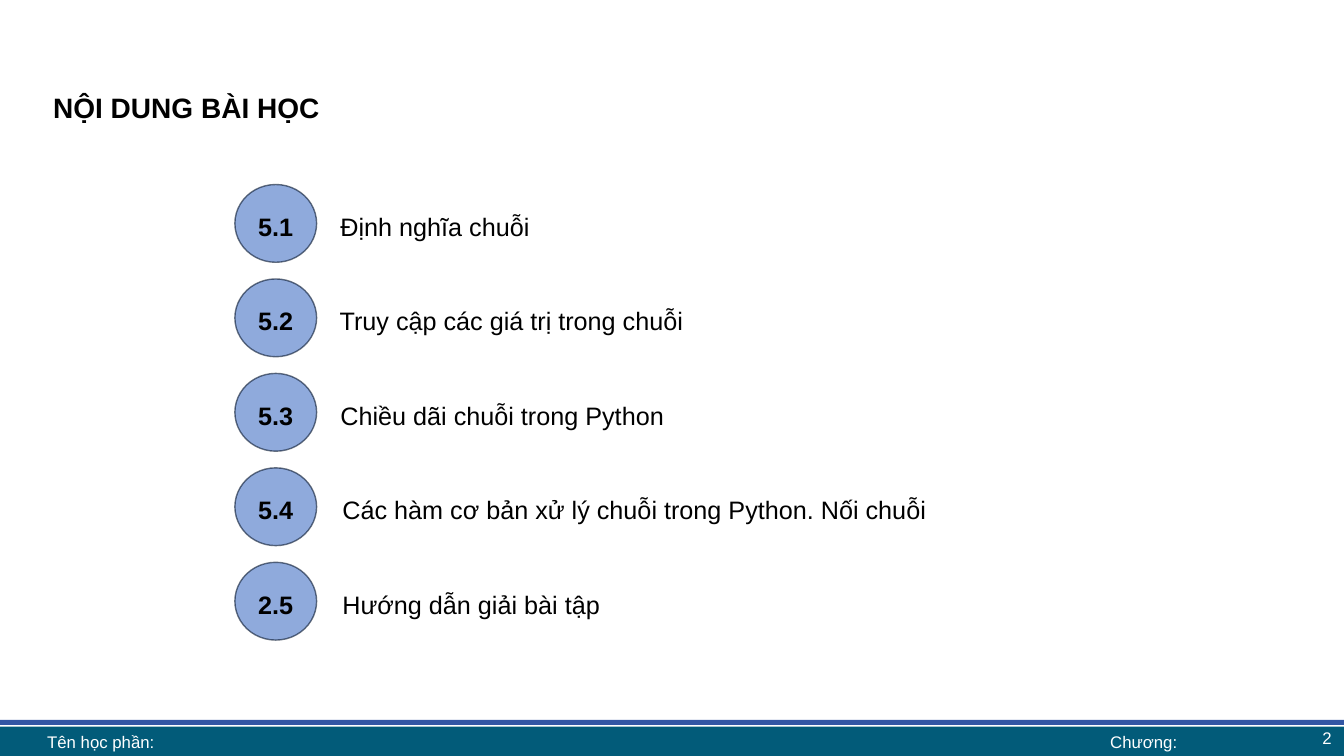
"""Build the lesson contents slide with numbered topics and a footer."""
from lxml import etree
from pptx import Presentation
from pptx.dml.color import RGBColor
from pptx.enum.shapes import MSO_SHAPE
from pptx.enum.text import MSO_ANCHOR, PP_ALIGN
from pptx.oxml.ns import qn
from pptx.util import Cm, Pt

RECTANGLE, OVAL = MSO_SHAPE.RECTANGLE, MSO_SHAPE.OVAL
TOP, MIDDLE = MSO_ANCHOR.TOP, MSO_ANCHOR.MIDDLE
LEFT, CENTER, RIGHT = PP_ALIGN.LEFT, PP_ALIGN.CENTER, PP_ALIGN.RIGHT
JUSTIFY = PP_ALIGN.JUSTIFY

COLOURS = {
    "text": "000000",
    "footer_text": "FFFFFF",
    "footer": "025B79",
    "stripe": "3256A4",
    "badge": "8FAADC",
    "outline": "08172E",
}
HEADING = {"alignment": JUSTIFY, "line_spacing": 1.2, "space_before": Pt(5)}
TOPIC = {"alignment": JUSTIFY, "line_spacing": Pt(25), "space_before": Pt(5)}
BADGE = {"alignment": CENTER, "line_spacing": 1.2, "space_before": Pt(5)}

TOPICS = [
    ("5.1", "Định nghĩa chuỗi", 8.33, 19.23),
    ("5.2", "Truy cập các giá trị trong chuỗi", 8.31, 19.35),
    ("5.3", "Chiều dãi chuỗi trong Python", 8.33, 12.85),
    ("5.4", "Các hàm cơ bản xử lý chuỗi trong Python. Nối chuỗi", 8.38, 15.75),
    ("2.5", "Hướng dẫn giải bài tập", 8.38, 15.75),
]
FIRST_TOP, PITCH, LABEL_DROP = 4.65, 2.38, 0.43
FOOTER_TOP, FOOTER_HEIGHT = 18.31, 0.79


def colour(name):
    """Return the named colour."""
    return RGBColor.from_string(COLOURS[name])


def write(box, text, size, paragraph_format, ink="text", bold=False, anchor=TOP):
    """Put one formatted paragraph into a shape."""
    frame = box.text_frame
    frame.word_wrap = True
    frame.vertical_anchor = anchor
    para = frame.paragraphs[0]
    for name, value in paragraph_format.items():
        setattr(para, name, value)
    span = para.add_run()
    span.text = text
    for name, value in {"name": "Arial", "size": Pt(size), "bold": bold}.items():
        setattr(span.font, name, value)
    span.font.color.rgb = colour(ink)


def add_shape(page, kind, left, top, width, height, fill):
    """Add a flat filled shape without an outline."""
    shape = page.shapes.add_shape(kind, Cm(left), Cm(top), Cm(width), Cm(height))
    shape.shadow.inherit = False
    shape.fill.solid()
    shape.fill.fore_color.rgb = colour(fill)
    shape.line.fill.background()
    return shape


def add_text(page, left, top, width, height, *content, **style):
    """Add a text box holding one paragraph."""
    box = page.shapes.add_textbox(Cm(left), Cm(top), Cm(width), Cm(height))
    write(box, *content, **style)
    return box


def add_badge(page, top, number):
    """Add a numbered circle with a translucent outline."""
    badge = add_shape(page, OVAL, 5.92, top, 2.06, 1.96, "badge")
    badge.line.width = Pt(1)
    badge.line.color.rgb = colour("outline")
    ink = badge.line._get_or_add_ln().find(".//" + qn("a:srgbClr"))
    etree.SubElement(ink, qn("a:alpha"), val="60000")
    write(badge, number, 18, BADGE, bold=True, anchor=MIDDLE)


def add_footer_label(page, left, width, text, alignment):
    """Add a label on the footer band."""
    box = add_text(page, left, FOOTER_TOP, width, FOOTER_HEIGHT, text, 12,
                   {"alignment": alignment}, ink="footer_text", anchor=MIDDLE)
    box.text_frame.margin_top = box.text_frame.margin_bottom = 0


def add_footer(page):
    """Add the footer bands, labels and page number."""
    add_shape(page, RECTANGLE, 0, FOOTER_TOP, 33.87, FOOTER_HEIGHT, "footer")
    add_shape(page, RECTANGLE, -0.03, 18.14, 33.93, 0.13, "stripe")
    add_text(page, 26.19, 18.14, 7.62, 0.89, "2", 12, {"alignment": RIGHT},
             ink="footer_text", anchor=MIDDLE)
    add_footer_label(page, 26.92, 3.81, "Chương:", CENTER)
    add_footer_label(page, 0.94, 26.01, "Tên học phần:", LEFT)


def main():
    """Build and save the deck."""
    deck = Presentation()
    deck.slide_width, deck.slide_height = Cm(33.87), Cm(19.05)
    page = deck.slides.add_slide(deck.slide_layouts[6])
    add_footer(page)
    add_text(page, 1.09, 1.98, 31.67, 2.21, "NỘI DUNG BÀI HỌC", 20, HEADING, bold=True)
    for index, (number, topic, left, width) in enumerate(TOPICS):
        top = FIRST_TOP + index * PITCH
        add_badge(page, top, number)
        add_text(page, left, top + LABEL_DROP, width, 1.07, topic, 18, TOPIC)
    deck.save("out.pptx")


if __name__ == "__main__":
    main()
